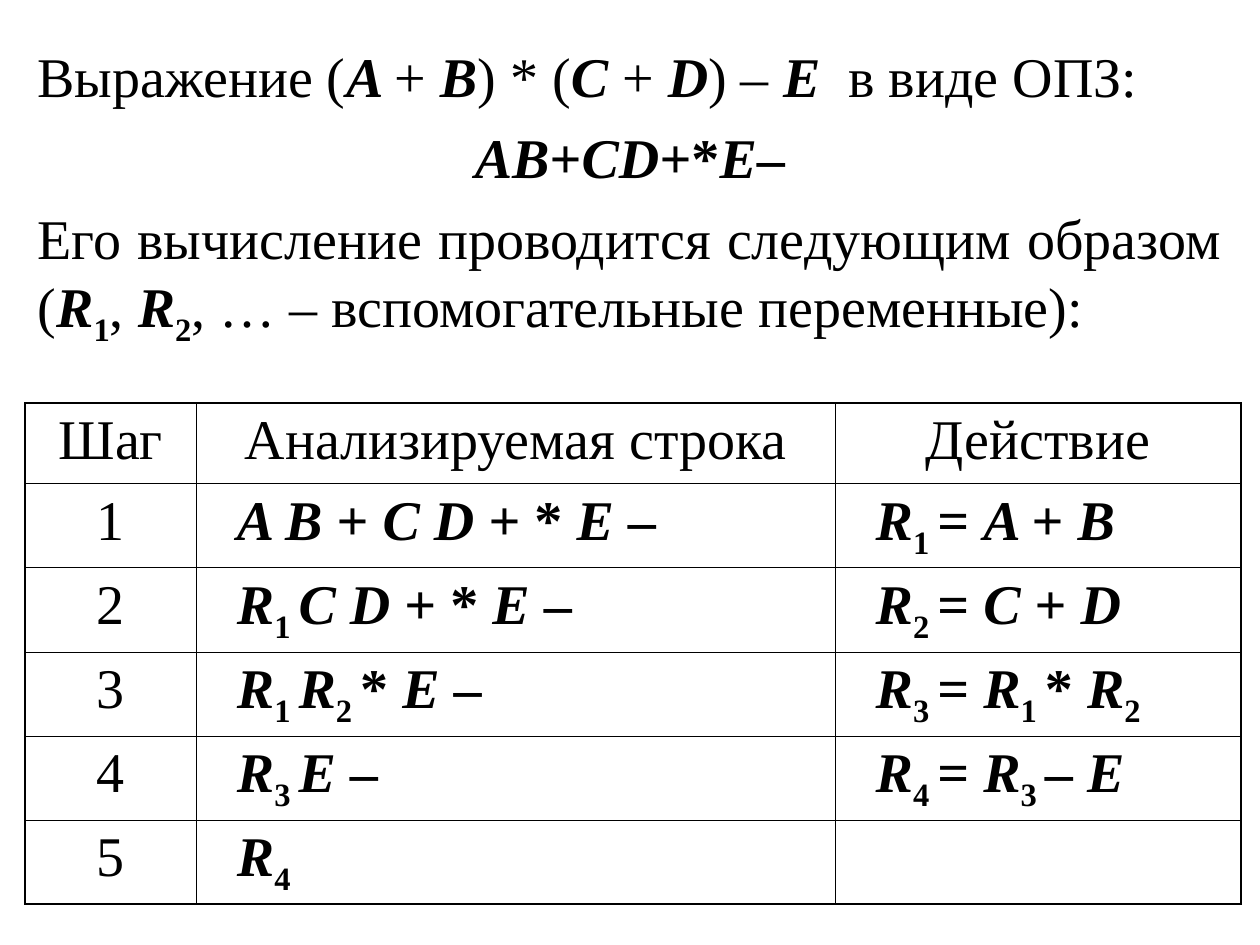
from lxml.etree import SubElement
from pptx import Presentation
from pptx.dml.color import RGBColor
from pptx.enum.text import MSO_AUTO_SIZE as AutoSize, PP_ALIGN as Align
from pptx.oxml.ns import qn
from pptx.util import Inches, Pt

COLORS = {"ink": "000000", "paper": "FFFFFF"}
INTRO = [
    ("Выражение (A + B) * (C + D) – E  в виде ОПЗ:", Align.JUSTIFY, False),
    ("AB+CD+*E–", Align.CENTER, True),
    ("Его вычисление проводится следующим образом "
     "(R1, R2, … – вспомогательные переменные):", Align.JUSTIFY, False),
]
HEADINGS = ["Шаг", "Анализируемая строка", "Действие"]
STEPS = [
    ("A B + C D + * E –", "R1 = A + B"),
    ("R1 C D + * E –", "R2 = C + D"),
    ("R1 R2 * E –", "R3 = R1 * R2"),
    ("R3 E –", "R4 = R3 – E"),
    ("R4", ""),
]


def split_formula(text):
    pieces = []
    for char in text:
        if char == " " and pieces:
            kind = pieces[-1][0]
        elif "A" <= char <= "Z":
            kind = "variable"
        else:
            kind = "index" if char.isdigit() else "sign"
        if pieces and pieces[-1][0] == kind:
            pieces[-1][1] += char
        else:
            pieces.append([kind, char])
    return pieces


class SlideWriter:
    font = "Times New Roman"
    size = Pt(32)
    space_before = Pt(8)
    indent = Inches(0.22)
    outer, inner = Pt(1.08), Pt(0.45)

    def __init__(self, deck):
        self.width, self.height = deck.slide_width, deck.slide_height
        self.slide = deck.slides.add_slide(deck.slide_layouts[6])
        background = self.slide.background.fill
        background.solid()
        background.fore_color.rgb = RGBColor.from_string(COLORS["paper"])

    def area(self, left, top, width, height):
        return (round(self.width * left), round(self.height * top),
                round(self.width * width), round(self.height * height))

    def run(self, paragraph, text, kind="sign", bold=False):
        run = paragraph.add_run()
        run.text = text
        font = run.font
        font.name, font.size = self.font, self.size
        font.bold = bold or kind != "sign"
        font.italic = kind == "variable"
        font.color.rgb = RGBColor.from_string(COLORS["ink"])
        if kind == "index":
            run._r.get_or_add_rPr().set("baseline", "-25000")

    def line(self, paragraph, align):
        paragraph.alignment = align
        paragraph.space_before = self.space_before

    def formula(self, paragraph, text, align, bold):
        self.line(paragraph, align)
        for kind, piece in split_formula(text):
            self.run(paragraph, piece, kind, bold)

    def plain(self, paragraph, text):
        self.line(paragraph, Align.CENTER)
        self.run(paragraph, text)

    def text(self, lines, *shares):
        frame = self.slide.shapes.add_textbox(*self.area(*shares)).text_frame
        frame.word_wrap = True
        frame.auto_size = AutoSize.SHAPE_TO_FIT_TEXT
        for number, (text, align, bold) in enumerate(lines):
            paragraph = frame.add_paragraph() if number else frame.paragraphs[0]
            self.formula(paragraph, text, align, bold)

    def border(self, cell, edges):
        properties = cell._tc.get_or_add_tcPr()
        for side, is_outer in edges.items():
            width = self.outer if is_outer else self.inner
            line = SubElement(properties, qn(f"a:ln{side}"), w=str(width))
            fill = SubElement(line, qn("a:solidFill"))
            SubElement(fill, qn("a:srgbClr"), val=COLORS["ink"])
        cell.fill.background()

    def table(self, headings, steps, columns, rows, *shares):
        rows_text = [headings] + [(str(n), *step) for n, step in enumerate(steps, 1)]
        table = self.slide.shapes.add_table(
            len(rows), len(columns), *self.area(*shares)).table
        table.first_row = table.horz_banding = False
        for column, share in zip(table.columns, columns):
            column.width = round(self.width * share)
        for row, share in zip(table.rows, rows):
            row.height = round(self.height * share)
        last_row, last_column = len(rows) - 1, len(columns) - 1
        for r, texts in enumerate(rows_text):
            for c, text in enumerate(texts):
                cell = table.cell(r, c)
                self.border(cell, {"L": c == 0, "R": c == last_column,
                                   "T": r == 0, "B": r == last_row})
                paragraph = cell.text_frame.paragraphs[0]
                if r == 0 or c == 0:
                    self.plain(paragraph, text)
                elif text:
                    self.formula(paragraph, text, Align.JUSTIFY, True)
                    paragraph._p.get_or_add_pPr().set("marL", str(self.indent))


def main():
    deck = Presentation()
    deck.slide_width, deck.slide_height = Inches(10), Inches(7.5)
    writer = SlideWriter(deck)
    columns = [1.36 / 10, 5.07 / 10, 3.22 / 10]
    rows = [0.64 / 7.5] + [0.667 / 7.5] * len(STEPS)
    writer.table(HEADINGS, STEPS, columns, rows,
                 0.02, 3.2 / 7.5, sum(columns), sum(rows))
    writer.text(INTRO, 0.02, 0.28 / 7.5, 0.96, 2.53 / 7.5)
    deck.save("out.pptx")


if __name__ == "__main__":
    main()
